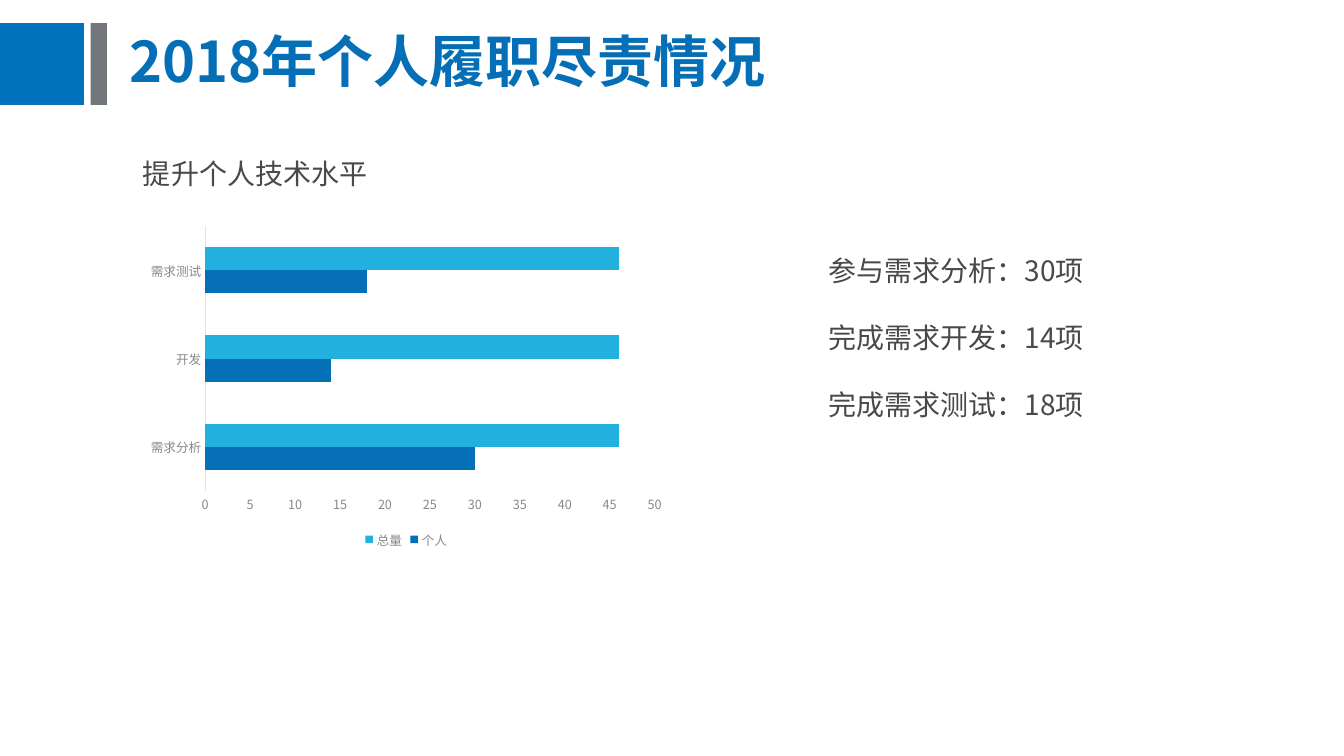
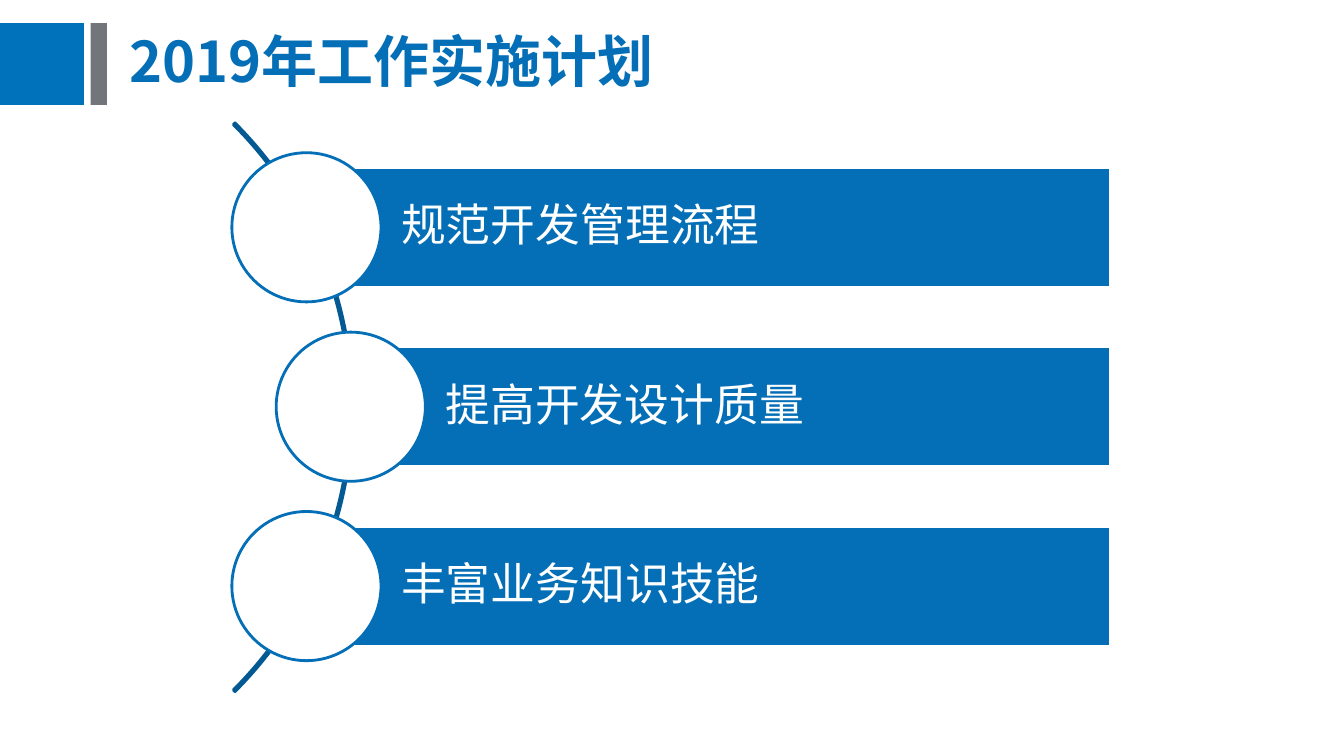
"""Build a two-slide work report: results for 2018 and the plan for 2019."""
from dataclasses import dataclass
from typing import Optional, Union

from lxml.etree import SubElement
from pptx import Presentation
from pptx.chart.data import CategoryChartData as ChartData
from pptx.dml.color import RGBColor as RGB
from pptx.enum.chart import XL_CHART_TYPE as CT, XL_LEGEND_POSITION as LP, XL_TICK_MARK as TM
from pptx.enum.shapes import MSO_SHAPE as SH
from pptx.enum.text import MSO_ANCHOR as MA, PP_ALIGN as PA
from pptx.oxml.ns import qn
from pptx.shapes.autoshape import Shape
from pptx.slide import Slide
from pptx.text.text import Font, TextFrame
from pptx.util import Inches, Length, Pt


@dataclass(frozen=True)
class Theme:
    font: str = "Noto Sans CJK SC"
    band: str = "0072BC"
    grey: str = "727579"
    blue: str = "046FB6"
    deep: str = "035992"
    sky: str = "22B1DE"
    white: str = "FFFFFF"
    ink: str = "47494B"
    muted: str = "85898C"
    rule: str = "E3E4E4"
    title: int = 40
    plan: int = 32
    body: int = 20
    chart: int = 10
    axis: int = 9
    outline: int = 2


@dataclass(frozen=True)
class Box:
    """Left, top, width and height as percentages of the slide."""
    x: float
    y: float
    w: float
    h: float


@dataclass(frozen=True)
class Fill:
    box: Box
    color: str


@dataclass(frozen=True)
class Step:
    text: str
    left: float


@dataclass(frozen=True)
class Series:
    name: str
    values: tuple[int, ...]
    color: str


T = Theme()
W, H = Inches(13.333), Inches(7.5)
BANDS = (Fill(Box(0, 3.07, 6.25, 10.8), T.band),
         Fill(Box(6.75, 3.07, 1.2, 10.8), T.grey))
TITLE = Box(8.93, 2.67, 91.07, 11.6)
SUBTITLE = Box(9.9, 17.6, 75.75, 7.07)
CHART = Box(10.43, 29.07, 39.6, 44)
RESULTS = Box(60.9, 22.67, 39.1, 47.87)
RESULTS_INSET = 6.4
ARC = Box(-33.6, 0.67, 59.85, 106.4)
BAR_TOP, BAR_HEIGHT, BAR_PITCH, BAR_RIGHT, BAR_INSET = 22.13, 15.87, 23.73, 82.65, 7.05
DISC_W, DISC_H = 11.1, 19.73

CATEGORIES = ("需求分析", "开发", "需求测试")
SERIES = (Series("个人", (30, 14, 18), T.blue), Series("总量", (46, 46, 46), T.sky))
RESULT_LINES = ("参与需求分析：30项", "完成需求开发：14项", "完成需求测试：18项")
STEPS = (Step("规范开发管理流程", 22.8), Step("提高开发设计质量", 26.1),
         Step("丰富业务知识技能", 22.8))


def across(share: float) -> Length:
    """Turn a percentage of the slide width into a length."""
    return Length(round(W * share / 100))


def down(share: float) -> Length:
    """Turn a percentage of the slide height into a length."""
    return Length(round(H * share / 100))


def place(box: Box) -> tuple[Length, Length, Length, Length]:
    """Give the lengths of a box in the order python-pptx takes them."""
    return across(box.x), down(box.y), across(box.w), down(box.h)


def style(font: Font, size: int, color: str, bold: bool = False) -> None:
    """Set size, colour and both Latin and East Asian typefaces."""
    font.size, font.bold, font.name = Pt(size), bold, T.font
    font.color.rgb = RGB.from_string(color)
    SubElement(font._rPr, qn("a:ea")).set("typeface", T.font)


def write(tf: TextFrame, lines: tuple[str, ...], size: int, color: str,
          spacing: Union[float, Length], bold: bool = False) -> None:
    """Write one left-aligned paragraph for each line."""
    tf.word_wrap = True
    for i, line in enumerate(lines):
        p = tf.add_paragraph() if i else tf.paragraphs[0]
        p.alignment, p.line_spacing = PA.LEFT, spacing
        r = p.add_run()
        r.text = line
        style(r.font, size, color, bold)


def add_shape(s: Slide, kind: SH, box: Box, fill: Optional[str],
              line: Optional[str] = None) -> Shape:
    """Add a flat shape with an optional fill and outline."""
    sp = s.shapes.add_shape(kind, *place(box))
    sp.shadow.inherit = False
    if fill:
        sp.fill.solid()
        sp.fill.fore_color.rgb = RGB.from_string(fill)
    else:
        sp.fill.background()
    if line:
        sp.line.color.rgb = RGB.from_string(line)
        sp.line.width = Pt(T.outline)
    else:
        sp.line.fill.background()
    return sp


def add_text(s: Slide, box: Box) -> TextFrame:
    """Add a text box and return its frame."""
    return s.shapes.add_textbox(*place(box)).text_frame


def add_slide(prs: Presentation, title: str) -> Slide:
    """Add a blank slide with the bands and the title."""
    s = prs.slides.add_slide(prs.slide_layouts[6])
    for band in BANDS:
        add_shape(s, SH.RECTANGLE, band.box, band.color)
    tf = add_text(s, TITLE)
    tf.vertical_anchor = MA.MIDDLE
    write(tf, (title,), T.title, T.blue, 0.9, bold=True)
    return s


def add_bar_chart(s: Slide) -> None:
    """Add the clustered bars comparing personal and total work items."""
    data = ChartData()
    data.categories = CATEGORIES
    for item in SERIES:
        data.add_series(item.name, item.values)
    chart = s.shapes.add_chart(CT.BAR_CLUSTERED, *place(CHART), data).chart
    style(chart.font, T.chart, T.ink)
    chart.has_title = False
    chart.has_legend = True
    chart.legend.position = LP.BOTTOM
    chart.legend.include_in_layout = False
    style(chart.legend.font, T.axis, T.muted)
    plot = chart.plots[0]
    plot.gap_width, plot.overlap, plot.vary_by_categories = 182, 0, False
    for series, item in zip(plot.series, SERIES):
        series.format.fill.solid()
        series.format.fill.fore_color.rgb = RGB.from_string(item.color)
    for axis in (chart.category_axis, chart.value_axis):
        axis.has_major_gridlines = False
        axis.major_tick_mark = axis.minor_tick_mark = TM.NONE
        style(axis.tick_labels.font, T.axis, T.muted)
    chart.category_axis.format.line.color.rgb = RGB.from_string(T.rule)
    chart.category_axis.format.line.width = Pt(0.75)
    va = chart.value_axis
    va.format.line.fill.background()
    va.minimum_scale, va.maximum_scale, va.major_unit = 0, 50, 5


def add_step(s: Slide, row: int, step: Step) -> None:
    """Add a labelled bar with a disc centred on its left edge."""
    top = BAR_TOP + row * BAR_PITCH
    bar = Box(step.left, top, BAR_RIGHT - step.left, BAR_HEIGHT)
    tf = add_shape(s, SH.RECTANGLE, bar, T.blue, T.white).text_frame
    tf.vertical_anchor = MA.MIDDLE
    tf.margin_left = across(BAR_INSET)
    write(tf, (step.text,), T.plan, T.white, 0.9)
    disc = Box(step.left - DISC_W / 2, top + (BAR_HEIGHT - DISC_H) / 2, DISC_W, DISC_H)
    add_shape(s, SH.OVAL, disc, T.white, T.blue)


def build_results(prs: Presentation) -> None:
    """Build the slide on the results of 2018."""
    s = add_slide(prs, "2018年个人履职尽责情况")
    write(add_text(s, SUBTITLE), ("提升个人技术水平",), T.body, T.ink, Pt(37))
    add_bar_chart(s)
    tf = add_text(s, RESULTS)
    tf.margin_top = down(RESULTS_INSET)
    write(tf, RESULT_LINES, T.body, T.ink, Pt(48))


def build_plan(prs: Presentation) -> None:
    """Build the slide on the plan for 2019."""
    s = add_slide(prs, "2019年工作实施计划")
    arc = add_shape(s, SH.BLOCK_ARC, ARC, None, T.deep)
    for i, value in enumerate((189, 27, 0.003)):
        arc.adjustments[i] = value
    for row, step in enumerate(STEPS):
        add_step(s, row, step)


def main() -> None:
    """Build and save the presentation."""
    prs = Presentation()
    prs.slide_width, prs.slide_height = W, H
    build_results(prs)
    build_plan(prs)
    prs.save("out.pptx")


main()
